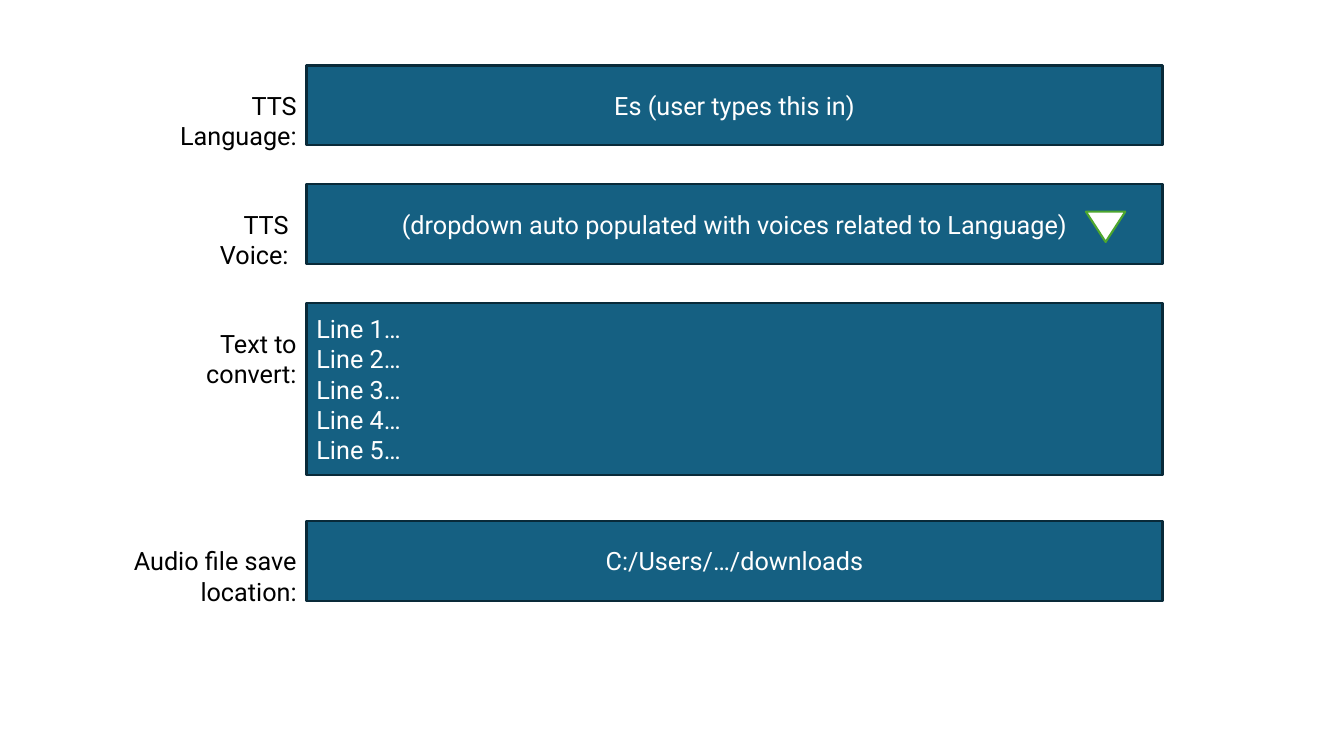
from dataclasses import dataclass

from pptx import Presentation
from pptx.dml.color import RGBColor
from pptx.enum.shapes import MSO_SHAPE
from pptx.enum.text import MSO_ANCHOR, MSO_AUTO_SIZE, PP_ALIGN
from pptx.shapes.autoshape import Shape
from pptx.slide import Slide
from pptx.util import Inches, Pt


@dataclass(frozen=True)
class Theme:
    font: str = "Roboto"
    size: float = 18
    edge: float = 1.5
    fill: str = "156082"
    line: str = "092A39"
    ink: str = "000000"
    light: str = "FFFFFF"
    green: str = "4EA72E"


@dataclass(frozen=True)
class Box:
    left: float
    top: float
    width: float
    height: float


@dataclass(frozen=True)
class Field:
    label: str
    span: float
    value: str
    height: float = 10.53
    gap: float = 5.2
    inset: float = 0
    align: PP_ALIGN = PP_ALIGN.CENTER


THEME = Theme()
WIDTH, HEIGHT = Inches(13.33), Inches(7.5)
LEFT, TOP, SPAN = 22.81, 8.67, 63.69
DROP, LABEL = 2.6, 5.33
ARROW = Box(80.8, 28, 2.93, 4)

FIELDS = [
    Field("TTS Language:", 13.2, "Es (user types this in)"),
    Field("TTS Voice:", 9.83,
          "(dropdown auto populated with voices related to Language)", inset=0.6),
    Field("Text to convert:", 13.8,
          "\n".join(f"Line {n}…" for n in range(1, 6)),
          height=22.67, gap=6.13, align=PP_ALIGN.LEFT),
    Field("Audio file save location:", 20.86, "C:/Users/…/downloads"),
]


def place(box: Box) -> tuple[int, int, int, int]:
    return (int(WIDTH * box.left / 100), int(HEIGHT * box.top / 100),
            int(WIDTH * box.width / 100), int(HEIGHT * box.height / 100))


def write(shape: Shape, text: str, *, color: str, align: PP_ALIGN,
          anchor: MSO_ANCHOR = MSO_ANCHOR.TOP,
          fit: MSO_AUTO_SIZE = MSO_AUTO_SIZE.NONE) -> None:
    frame = shape.text_frame
    frame.text = text
    frame.word_wrap = True
    frame.auto_size = fit
    frame.vertical_anchor = anchor
    for para in frame.paragraphs:
        para.alignment = align
        for run in para.runs:
            run.font.name = THEME.font
            run.font.size = Pt(THEME.size)
            run.font.color.rgb = RGBColor.from_string(color)


def draw(slide: Slide, kind: MSO_SHAPE, box: Box, fill: str, line: str) -> Shape:
    shape = slide.shapes.add_shape(kind, *place(box))
    shape.shadow.inherit = False
    shape.fill.solid()
    shape.fill.fore_color.rgb = RGBColor.from_string(fill)
    shape.line.color.rgb = RGBColor.from_string(line)
    shape.line.width = Pt(THEME.edge)
    return shape


def add_field(slide: Slide, field: Field, top: float) -> None:
    panel = draw(slide, MSO_SHAPE.RECTANGLE, Box(LEFT, top, SPAN, field.height),
                 THEME.fill, THEME.line)
    write(panel, field.value, color=THEME.light, align=field.align,
          anchor=MSO_ANCHOR.MIDDLE)
    start = LEFT - field.inset - field.span
    label = slide.shapes.add_textbox(
        *place(Box(start, top + DROP, field.span, LABEL)))
    write(label, field.label, color=THEME.ink, align=PP_ALIGN.RIGHT,
          fit=MSO_AUTO_SIZE.SHAPE_TO_FIT_TEXT)


def main() -> None:
    deck = Presentation()
    deck.slide_width, deck.slide_height = WIDTH, HEIGHT
    slide = deck.slides.add_slide(deck.slide_layouts[6])
    top = TOP
    for field in FIELDS:
        add_field(slide, field, top)
        top += field.height + field.gap
    arrow = draw(slide, MSO_SHAPE.ISOSCELES_TRIANGLE, ARROW,
                 THEME.light, THEME.green)
    arrow.rotation = 180
    deck.save("out.pptx")


if __name__ == "__main__":
    main()
